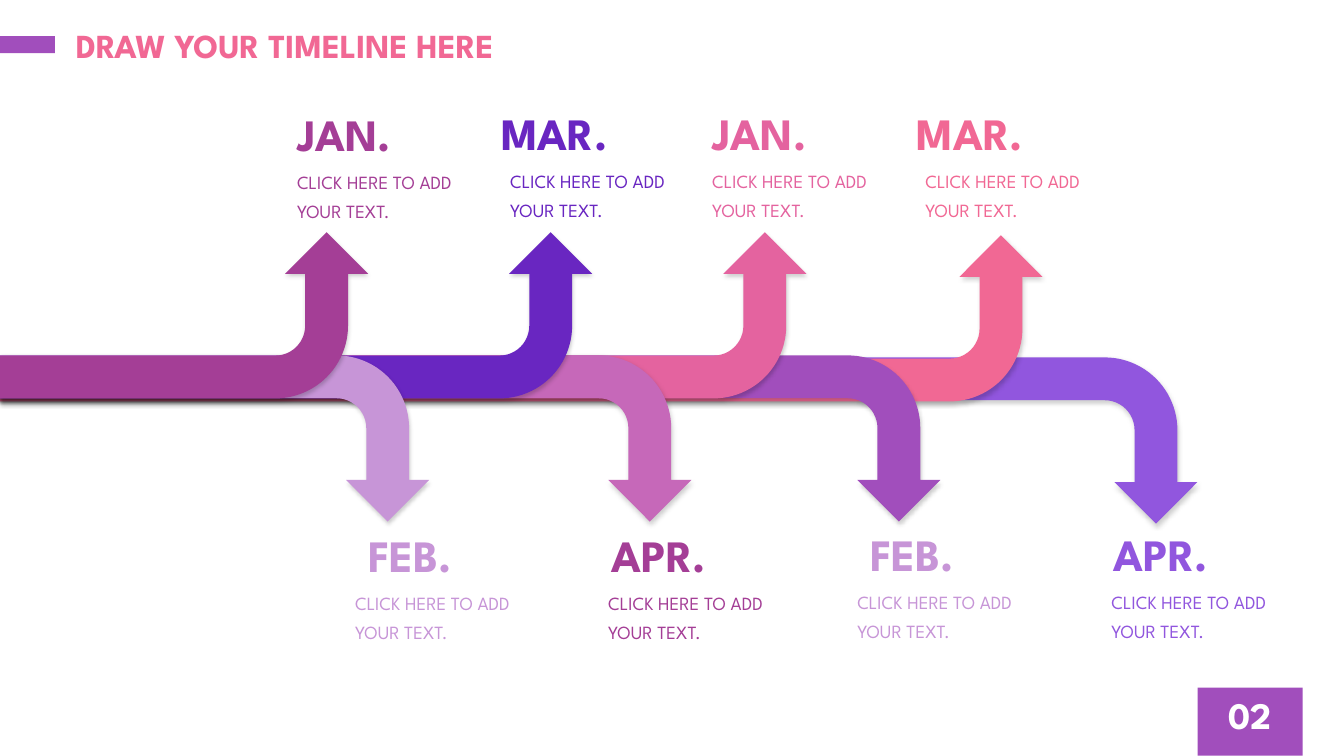
from typing import NamedTuple

from lxml.etree import SubElement
from pptx import Presentation
from pptx.dml.color import RGBColor
from pptx.enum.shapes import MSO_SHAPE
from pptx.enum.text import MSO_ANCHOR, MSO_AUTO_SIZE, PP_ALIGN
from pptx.oxml.ns import qn
from pptx.util import Emu, Inches, Pt

PIXEL = 914400 / 100.7
FONT = "League Spartan"

WHITE = RGBColor(0xFF, 0xFF, 0xFF)
PLUM = RGBColor(0xA4, 0x3E, 0x96)
LILAC = RGBColor(0xC7, 0x95, 0xD7)
INDIGO = RGBColor(0x69, 0x26, 0xC1)
ORCHID = RGBColor(0xC6, 0x68, 0xB9)
ROSE = RGBColor(0xE4, 0x63, 0x9F)
PURPLE = RGBColor(0xA1, 0x4E, 0xBC)
PINK = RGBColor(0xF1, 0x68, 0x94)
VIOLET = RGBColor(0x91, 0x56, 0xDE)

ARROW_DEPTH = 166
ARROW_ADJUSTMENTS = (0.258, 0.25, 0.25, 0.438)
MONTH_WIDTHS = {"JAN.": 122, "FEB.": 105, "MAR.": 133, "APR.": 118}
MONTH_HEIGHT = 64
DETAIL_OFFSET = 58
DETAIL_WIDTH, DETAIL_HEIGHT = 204, 68
DETAIL = "CLICK HERE TO ADD YOUR TEXT."


class Arrow(NamedTuple):
    length: int
    top: int
    upward: bool
    color: RGBColor


class Milestone(NamedTuple):
    month: str
    month_left: int
    detail_left: int
    top: int
    color: RGBColor


# Back to front: the longest arrow lies underneath
ARROWS = [
    Arrow(1197, 357, False, VIOLET),
    Arrow(1042, 235, True, PINK),
    Arrow(940, 355, False, PURPLE),
    Arrow(806, 232, True, ROSE),
    Arrow(691, 355, False, ORCHID),
    Arrow(592, 232, True, INDIGO),
    Arrow(429, 355, False, LILAC),
    Arrow(368, 232, True, PLUM),
]

MILESTONES = [
    Milestone("JAN.", 287, 287, 101, PLUM),
    Milestone("FEB.", 358, 345, 522, LILAC),
    Milestone("MAR.", 491, 500, 100, INDIGO),
    Milestone("APR.", 601, 598, 522, PLUM),
    Milestone("JAN.", 702, 702, 100, ROSE),
    Milestone("MAR.", 906, 915, 100, PINK),
    Milestone("FEB.", 860, 847, 521, LILAC),
    Milestone("APR.", 1103, 1101, 521, VIOLET),
]


def px(value: float) -> Emu:
    return Emu(round(value * PIXEL))


def add_block(page, kind, left: float, top: float, width: int, height: int,
              color: RGBColor):
    shape = page.shapes.add_shape(kind, px(left), px(top), px(width), px(height))
    shape.shadow.inherit = False
    shape.fill.solid()
    shape.fill.fore_color.rgb = color
    shape.line.fill.background()
    return shape


def add_soft_shadow(shape) -> None:
    effects = shape.element.spPr.find(qn("a:effectLst"))
    shadow = SubElement(effects, qn("a:outerShdw"), blurRad=str(Pt(3.1)),
                        dist=str(Pt(1.8)), dir="5400000", algn="t",
                        rotWithShape="0")
    black = SubElement(shadow, qn("a:srgbClr"), val="000000")
    SubElement(black, qn("a:alpha"), val="20000")


def add_arrow(page, arrow: Arrow) -> None:
    # The upright frame shares its centre with the rotated arrow
    left = (arrow.length - ARROW_DEPTH) / 2
    shape = add_block(page, MSO_SHAPE.BENT_ARROW, left, arrow.top - left,
                      ARROW_DEPTH, arrow.length, arrow.color)
    for index, value in enumerate(ARROW_ADJUSTMENTS):
        shape.adjustments[index] = value
    shape.rotation = 90 if arrow.upward else 270
    frame = shape.element.spPr.find(qn("a:xfrm"))
    frame.set("flipH", "1")
    if not arrow.upward:
        frame.set("flipV", "1")
    add_soft_shadow(shape)


def add_text(page, text: str, left: int, top: int, width: int, height: int, *,
             size: float, color: RGBColor, bold: bool = False,
             wrap: bool = True, grow: bool = False, line_spacing: float = 1.0,
             align: PP_ALIGN = PP_ALIGN.LEFT) -> None:
    box = page.shapes.add_textbox(px(left), px(top), px(width), px(height))
    frame = box.text_frame
    frame.word_wrap = wrap
    frame.auto_size = (MSO_AUTO_SIZE.SHAPE_TO_FIT_TEXT if grow
                       else MSO_AUTO_SIZE.NONE)
    frame.vertical_anchor = MSO_ANCHOR.MIDDLE
    para = frame.paragraphs[0]
    para.alignment = align
    para.line_spacing = line_spacing
    span = para.add_run()
    span.text = text
    span.font.name = FONT
    span.font.size = Pt(size)
    span.font.bold = bold
    span.font.color.rgb = color


def add_milestone(page, item: Milestone) -> None:
    add_text(page, item.month, item.month_left, item.top,
             MONTH_WIDTHS[item.month], MONTH_HEIGHT, size=32,
             color=item.color, bold=True, wrap=False, grow=True)
    add_text(page, DETAIL, item.detail_left, item.top + DETAIL_OFFSET,
             DETAIL_WIDTH, DETAIL_HEIGHT, size=13.3, color=item.color,
             grow=True, line_spacing=1.3)


deck = Presentation()
deck.slide_width, deck.slide_height = Inches(13.34), Inches(7.5)
page = deck.slides.add_slide(deck.slide_layouts[6])

# Title bar and page number block
add_block(page, MSO_SHAPE.RECTANGLE, 0, 36, 55, 17, PURPLE)
add_block(page, MSO_SHAPE.RECTANGLE, 1197, 687, 105, 68, PURPLE)

# Timeline arrows
for arrow in ARROWS:
    add_arrow(page, arrow)

# Title and page number
add_text(page, "DRAW YOUR TIMELINE HERE", 66, 13, 583, 63, size=24,
         color=PINK, bold=True)
add_text(page, "02", 1197, 687, 105, 54, size=26.7, color=WHITE, bold=True,
         align=PP_ALIGN.CENTER)

# Months and their descriptions
for milestone in MILESTONES:
    add_milestone(page, milestone)

deck.save("out.pptx")
